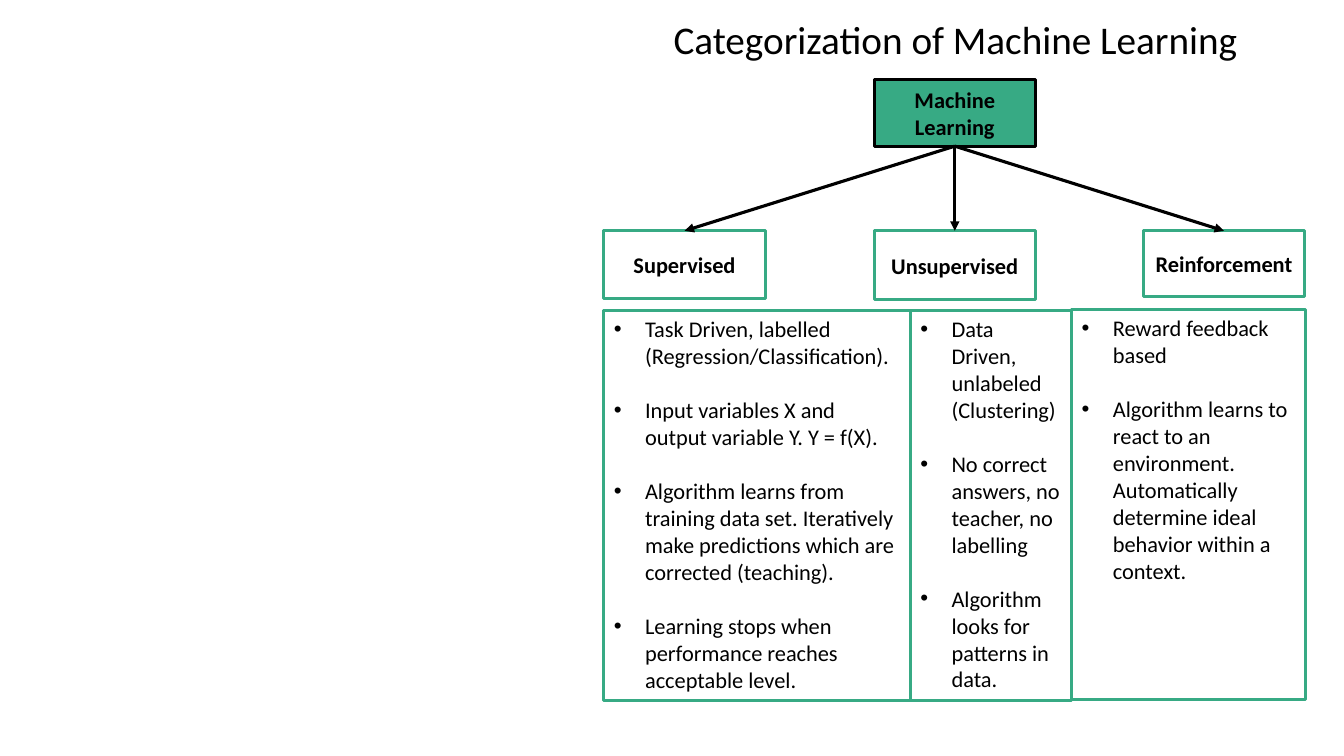
from dataclasses import dataclass

from lxml.etree import SubElement
from pptx import Presentation
from pptx.dml.color import RGBColor
from pptx.enum.shapes import MSO_CONNECTOR, MSO_SHAPE
from pptx.enum.text import MSO_ANCHOR, PP_ALIGN
from pptx.oxml.ns import qn
from pptx.util import Inches, Pt

COLORS = {"ink": "000000", "green": "37AA84"}
BODY_FONT = {"name": "Calibri", "size": Pt(16), "bold": False}
LABEL_FONT = BODY_FONT | {"bold": True}
TITLE_FONT = BODY_FONT | {"size": Pt(28)}
CENTERED = {"alignment": PP_ALIGN.CENTER}
TOP, BOTTOM = 0, 2


@dataclass
class Category:
    label: str
    label_left: float
    label_height: float
    left: float
    top: float
    width: float
    points: list[str]


CATEGORIES = [
    Category("Supervised", 5.99, 0.67, 5.99, 3.08, 3.04, [
        "Task Driven, labelled (Regression/Classification).",
        "Input variables X and output variable Y. Y = f(X).",
        "Algorithm learns from training data set. Iteratively make predictions which are corrected (teaching).",
        "Learning stops when performance reaches acceptable level.",
    ]),
    Category("Unsupervised", 8.67, 0.68, 9.03, 3.08, 1.6, [
        "Data Driven, unlabeled (Clustering)",
        "No correct answers, no teacher, no labelling",
        "Algorithm looks for patterns in data.",
    ]),
    Category("Reinforcement", 11.34, 0.65, 10.63, 3.07, 2.32, [
        "Reward feedback based",
        "Algorithm learns to react to an environment. Automatically determine ideal behavior within a context.",
    ]),
]


def color(name: str) -> RGBColor:
    return RGBColor.from_string(COLORS[name])


def apply_format(target, values: dict) -> None:
    for attribute, value in values.items():
        setattr(target, attribute, value)


def write(paragraph, text: str, font: dict, layout: dict) -> None:
    run = paragraph.add_run()
    run.text = text
    apply_format(run.font, font)
    run.font.color.rgb = color("ink")
    apply_format(paragraph, layout)


def add_box(slide, kind, left: float, top: float, width: float, height: float,
            outline: str, fill: str | None = None):
    box = slide.shapes.add_shape(kind, *map(Inches, (left, top, width, height)))
    box.shadow.inherit = False
    if fill:
        box.fill.solid()
        box.fill.fore_color.rgb = color(fill)
    else:
        box.fill.background()
    box.line.color.rgb = color(outline)
    box.line.width = Pt(2.25)
    box.text_frame.word_wrap = True
    return box


def add_label(slide, text: str, left: float, top: float, height: float,
              outline: str, fill: str | None = None):
    label = add_box(slide, MSO_SHAPE.FLOWCHART_PROCESS, left, top, 1.6, height, outline, fill)
    label.text_frame.vertical_anchor = MSO_ANCHOR.MIDDLE
    write(label.text_frame.paragraphs[0], text, LABEL_FONT, CENTERED)
    return label


def add_arrow(slide, parent, child) -> None:
    arrow = slide.shapes.add_connector(MSO_CONNECTOR.STRAIGHT, 0, 0, 0, 0)
    arrow.begin_connect(parent, BOTTOM)
    arrow.end_connect(child, TOP)
    arrow.line.color.rgb = color("ink")
    arrow.line.width = Pt(2.25)
    SubElement(arrow.line._get_or_add_ln(), qn("a:tailEnd"), type="triangle")
    SubElement(arrow._element.spPr, qn("a:effectLst"))


def add_points(slide, category: Category) -> None:
    column = add_box(slide, MSO_SHAPE.RECTANGLE, category.left, category.top,
                     category.width, 3.87, "green")
    frame = column.text_frame
    frame.vertical_anchor = MSO_ANCHOR.TOP
    for index, point in enumerate(category.points):
        paragraph = frame.add_paragraph() if index else frame.paragraphs[0]
        gap = Pt(19.5) if index else Pt(0)
        write(paragraph, point, BODY_FONT, {"alignment": PP_ALIGN.LEFT, "space_before": gap})
        properties = paragraph._p.get_or_add_pPr()
        properties.set("marL", str(Inches(0.31)))
        properties.set("indent", str(-Inches(0.31)))
        SubElement(properties, qn("a:buFont"), typeface="Arial")
        SubElement(properties, qn("a:buChar"), char="•")


def main() -> None:
    deck = Presentation()
    deck.slide_width, deck.slide_height = Inches(13.33), Inches(7.5)
    slide = deck.slides.add_slide(deck.slide_layouts[6])

    # Title
    title = slide.shapes.add_textbox(*map(Inches, (5.99, 0.16, 6.97, 0.61)))
    title.text_frame.word_wrap = True
    write(title.text_frame.paragraphs[0], "Categorization of Machine Learning",
          TITLE_FONT, CENTERED | {"line_spacing": 0.9})

    # Tree with one branch per category, and its points below
    root = add_label(slide, "Machine Learning", 8.67, 0.79, 0.66, "ink", "green")
    for category in CATEGORIES:
        branch = add_label(slide, category.label, category.label_left, 2.29,
                           category.label_height, "green")
        add_arrow(slide, root, branch)
        add_points(slide, category)

    deck.save("out.pptx")


if __name__ == "__main__":
    main()
